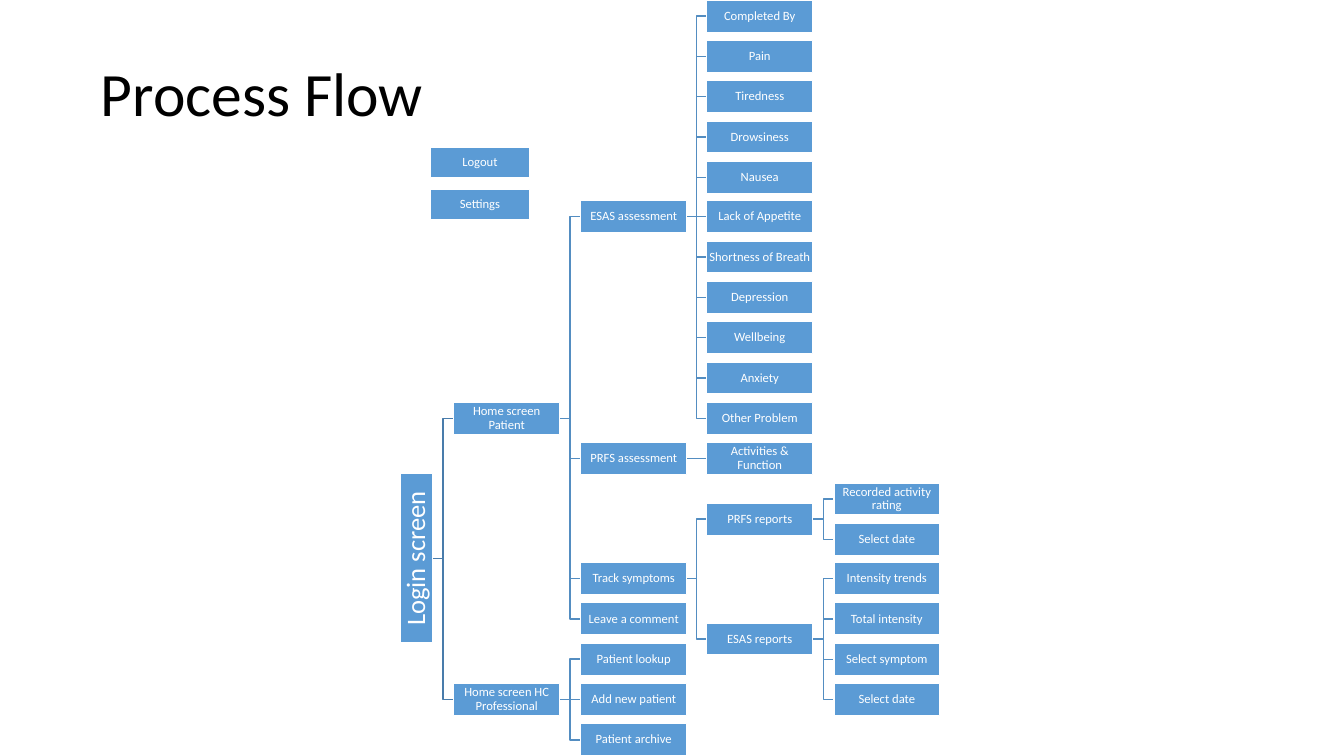
from dataclasses import dataclass

from lxml.etree import SubElement
from pptx import Presentation
from pptx.dml.color import RGBColor as Rgb
from pptx.enum.shapes import MSO_CONNECTOR as Link, MSO_SHAPE as Preset
from pptx.enum.text import MSO_ANCHOR as Anchor, PP_ALIGN as Align
from pptx.oxml.ns import qn
from pptx.util import Emu, Pt

EMU_PER_PX = 9144
TITLE_ONLY = 5


@dataclass(frozen=True)
class Theme:
    font: str = "Calibri"
    box: Rgb = Rgb(0x5B, 0x9B, 0xD5)
    white: Rgb = Rgb(0xFF, 0xFF, 0xFF)
    black: Rgb = Rgb(0x00, 0x00, 0x00)
    root_link: Rgb = Rgb(0x49, 0x7C, 0xAB)
    link: Rgb = Rgb(0x53, 0x8D, 0xC1)
    line_width: Pt = Pt(1)
    title_size: Pt = Pt(44)
    root_size: Pt = Pt(19)
    step_size: Pt = Pt(9)


THEME = Theme()

SYMPTOMS = [
    "Completed By", "Pain", "Tiredness", "Drowsiness", "Nausea",
    "Lack of Appetite", "Shortness of Breath", "Depression", "Wellbeing",
    "Anxiety", "Other Problem",
]
FLOW = ("Login screen", [
    ("Home screen Patient", [
        ("ESAS assessment", [(symptom, []) for symptom in SYMPTOMS]),
        ("PRFS assessment", [("Activities & Function", [])]),
        ("Track symptoms", [
            ("PRFS reports", [
                ("Recorded activity rating", []),
                ("Select date", []),
            ]),
            ("ESAS reports", [
                ("Intensity trends", []),
                ("Total intensity", []),
                ("Select symptom", []),
                ("Select date", []),
            ]),
        ]),
        ("Leave a comment", []),
    ]),
    ("Home screen HC Professional", [
        ("Patient lookup", []),
        ("Add new patient", []),
        ("Patient archive", []),
    ]),
])

STEP_WIDTH, STEP_HEIGHT = 105, 32
ROOT_LENGTH, ROOT_CENTER = 168, 413
FIRST_COLUMN, LAST_COLUMN, COLUMN_GAPS = 450, 827, 3
LAST_ROW_TOP, ROW_GAPS = 718, 18


def px(length):
    return Emu(round(length * EMU_PER_PX))


def apply_format(target, values):
    for attribute, value in values.items():
        setattr(target, attribute, value)


def write_text(frame, text, size, color, anchor, inset):
    apply_format(frame, {
        "text": text, "word_wrap": True, "vertical_anchor": anchor,
        "margin_left": px(inset), "margin_right": px(inset),
        "margin_top": px(inset), "margin_bottom": px(inset),
    })
    paragraph = frame.paragraphs[0]
    apply_format(paragraph, {"alignment": Align.CENTER, "line_spacing": 0.9})
    font = paragraph.runs[0].font
    apply_format(font, {"name": THEME.font, "size": size})
    font.color.rgb = color


def add_title(slide, text):
    title = slide.shapes.title
    apply_format(title, {
        "left": px(0), "top": px(0), "width": px(520), "height": px(134),
    })
    write_text(title.text_frame, text, THEME.title_size, THEME.black,
               Anchor.BOTTOM, 5)


def add_step(slide, text, left, top, width, height, size=THEME.step_size):
    step = slide.shapes.add_shape(Preset.RECTANGLE, px(left), px(top),
                                  px(width), px(height))
    step.shadow.inherit = False
    step.fill.solid()
    step.fill.fore_color.rgb = THEME.box
    step.line.color.rgb = THEME.white
    step.line.width = THEME.line_width
    write_text(step.text_frame, text, size, THEME.white, Anchor.MIDDLE, 1)
    return step


def add_link(slide, parent, child, is_root, is_level):
    route = Link.STRAIGHT if is_level else Link.ELBOW
    link = slide.shapes.add_connector(route, 0, 0, 0, 0)
    link.begin_connect(parent, 2 if is_root else 3)
    link.end_connect(child, 1)
    if is_root:
        link.begin_x = px(ROOT_CENTER + STEP_HEIGHT / 2)
        link.begin_y = parent.top + parent.height // 2
    link.line.color.rgb = THEME.root_link if is_root else THEME.link
    link.line.width = THEME.line_width
    SubElement(link._element.spPr, qn("a:effectLst"))
    slide.shapes._spTree.insert(2, link._element)


def add_branch(slide, node, depth, last_rows):
    text, children = node
    branches = [add_branch(slide, child, depth + 1, last_rows)
                for child in children]
    if branches:
        row = (branches[0][1] + branches[-1][1]) / 2
    else:
        row = 1 + max((last for level, last in last_rows.items()
                       if level <= depth), default=-1)
    last_rows[depth] = row
    top = round(LAST_ROW_TOP * row / ROW_GAPS)
    is_root = depth == 0
    if is_root:
        step = add_step(slide, text, ROOT_CENTER - ROOT_LENGTH // 2, top,
                        ROOT_LENGTH, STEP_HEIGHT, THEME.root_size)
        step.rotation = 270
    else:
        column_gap = (LAST_COLUMN - FIRST_COLUMN) / COLUMN_GAPS
        left = round(FIRST_COLUMN + column_gap * (depth - 1))
        step = add_step(slide, text, left, top, STEP_WIDTH, STEP_HEIGHT)
    for child, child_row in branches:
        add_link(slide, step, child, is_root, child_row == row)
    return step, row


def main():
    deck = Presentation()
    apply_format(deck, {"slide_width": px(1333), "slide_height": px(750)})
    slide = deck.slides.add_slide(deck.slide_layouts[TITLE_ONLY])
    add_title(slide, "Process Flow")
    add_branch(slide, FLOW, 0, {})
    for text, top in (("Logout", 146), ("Settings", 188)):
        add_step(slide, text, 427, top, 98, 30)
    deck.save("out.pptx")


if __name__ == "__main__":
    main()
